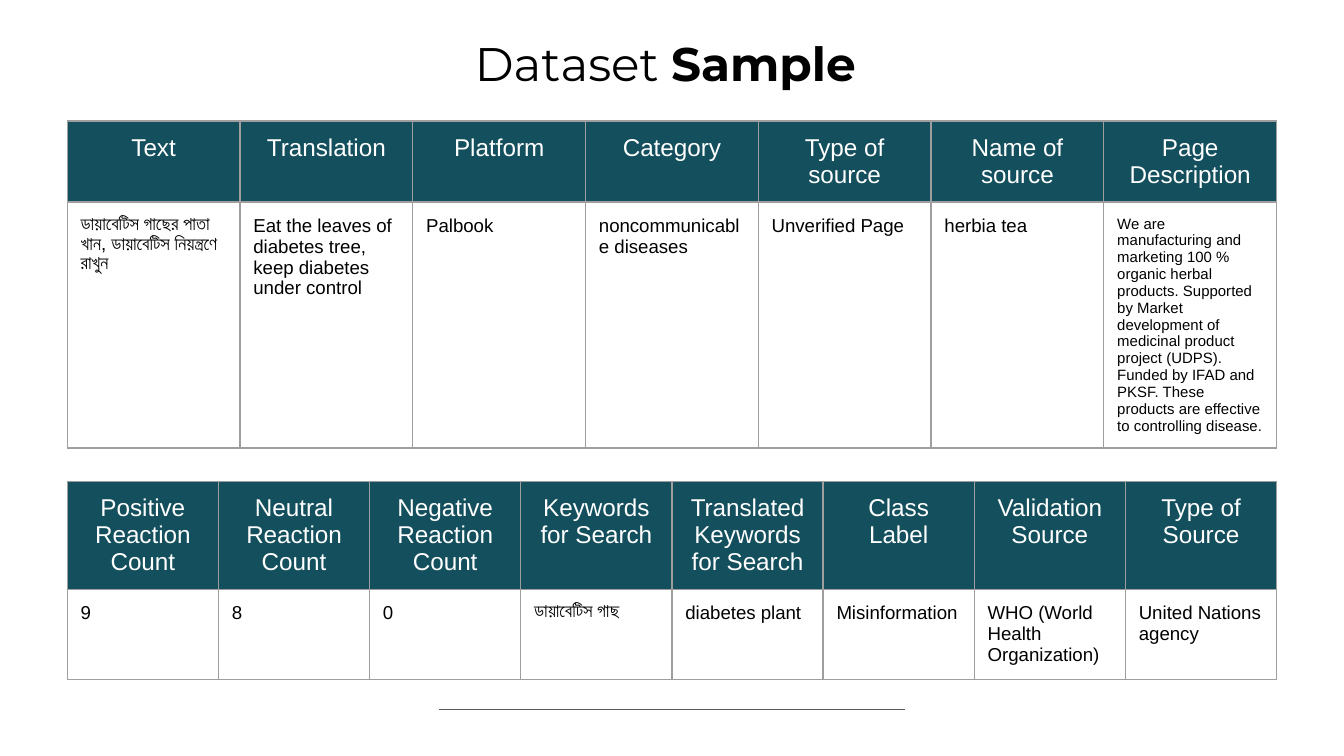
from lxml import etree
from pptx import Presentation
from pptx import util as u
from pptx.dml.color import RGBColor
from pptx.enum import shapes, text
from pptx.oxml import ns

BLACK = RGBColor(0x00, 0x00, 0x00)
WHITE = RGBColor(0xFF, 0xFF, 0xFF)
TEAL = RGBColor(0x13, 0x4F, 0x5C)
BORDER = RGBColor(0x9E, 0x9E, 0x9E)
RULE = RGBColor(0x59, 0x59, 0x59)

SOURCE_SAMPLE = [
    ("Text", "ডায়াবেটিস গাছের পাতা খান, ডায়াবেটিস নিয়ন্ত্রণে রাখুন"),
    ("Translation", "Eat the leaves of diabetes tree, keep diabetes under control"),
    ("Platform", "Palbook"),
    ("Category", "noncommunicable diseases"),
    ("Type of source", "Unverified Page"),
    ("Name of source", "herbia tea"),
    ("Page Description",
     "We are manufacturing and marketing 100 % organic herbal products. "
     "Supported by Market development of medicinal product project (UDPS). "
     "Funded by IFAD and PKSF. These products are effective to controlling disease."),
]
LABEL_SAMPLE = [
    ("Positive Reaction Count", "9"),
    ("Neutral Reaction Count", "8"),
    ("Negative Reaction Count", "0"),
    ("Keywords for Search", "ডায়াবেটিস গাছ"),
    ("Translated Keywords for Search", "diabetes plant"),
    ("Class Label", "Misinformation"),
    ("Validation Source", "WHO (World Health Organization)"),
    ("Type of Source", "United Nations agency"),
]


def add_title(page, left, top, width, height):
    """Place the title with its second word in bold."""
    title = page.shapes.title
    title.left, title.top, title.width, title.height = map(
        u.Inches, (left, top, width, height))
    frame = title.text_frame
    frame.word_wrap = True
    frame.auto_size = text.MSO_AUTO_SIZE.NONE
    frame.vertical_anchor = text.MSO_ANCHOR.MIDDLE
    frame.margin_left = frame.margin_right = u.Inches(0.1)
    frame.margin_top = frame.margin_bottom = u.Inches(0.1)
    para = frame.paragraphs[0]
    para.alignment = text.PP_ALIGN.CENTER
    for words, bold in (("Dataset ", False), ("Sample ", True)):
        span = para.add_run()
        span.text = words
        span.font.name = "Montserrat"
        span.font.size = u.Pt(25.2)
        span.font.bold = bold
        span.font.color.rgb = BLACK


def add_borders(cell):
    """Draw a thin grey line on each side of a cell."""
    properties = cell._tc.get_or_add_tcPr()
    for side in ("lnL", "lnR", "lnT", "lnB"):
        line = etree.SubElement(properties, ns.qn(f"a:{side}"), w=str(u.Pt(0.75)))
        fill = etree.SubElement(line, ns.qn("a:solidFill"))
        etree.SubElement(fill, ns.qn("a:srgbClr"), val=str(BORDER))


def fill_cell(cell, words, size, header):
    """Write and format one header or body cell."""
    add_borders(cell)
    cell.margin_left = cell.margin_right = u.Inches(0.1)
    cell.margin_top = cell.margin_bottom = u.Inches(0.1)
    cell.text = words
    para = cell.text_frame.paragraphs[0]
    para.font.name = "Arial"
    para.font.size = u.Pt(size)
    para.font.color.rgb = WHITE if header else BLACK
    if header:
        para.alignment = text.PP_ALIGN.CENTER
        cell.fill.solid()
        cell.fill.fore_color.rgb = TEAL
    else:
        cell.fill.background()


def add_sample_table(page, left, top, width, row_heights, fields):
    """Place a header row over one sample row, in equal columns."""
    frame = page.shapes.add_table(
        2, len(fields), u.Inches(left), u.Inches(top),
        u.Inches(width), u.Inches(sum(row_heights)))
    table = frame.table
    table.first_row = table.horz_banding = False
    for row, height in zip(table.rows, row_heights):
        row.height = u.Inches(height)
    for index, (heading, value) in enumerate(fields):
        table.columns[index].width = u.Inches(width / len(fields))
        fill_cell(table.cell(0, index), heading, 13, True)
        fill_cell(table.cell(1, index), value, 8 if len(value) > 100 else 10, False)


def add_rule(page, left, top, width):
    """Draw the closing line under the tables."""
    rule = page.shapes.add_connector(
        shapes.MSO_CONNECTOR.STRAIGHT, u.Inches(left + width), u.Inches(top),
        u.Inches(left), u.Inches(top))
    rule.line.color.rgb = RULE
    rule.line.width = u.Pt(0.75)
    etree.SubElement(rule._element.spPr, ns.qn("a:effectLst"))


def main():
    """Build the deck and save it."""
    deck = Presentation()
    deck.slide_width, deck.slide_height = u.Inches(10), u.Inches(10 * 9 / 16)
    page = deck.slides.add_slide(deck.slide_layouts[5])
    add_title(page, 0.34, 0.15, 9.32, 0.63)
    add_sample_table(page, 0.5, 0.9, 9, (0.6, 1.83), SOURCE_SAMPLE)
    add_sample_table(page, 0.5, 3.58, 9, (0.8, 0.67), LABEL_SAMPLE)
    add_rule(page, 3.27, 5.28, 3.46)
    deck.save("out.pptx")


if __name__ == "__main__":
    main()
